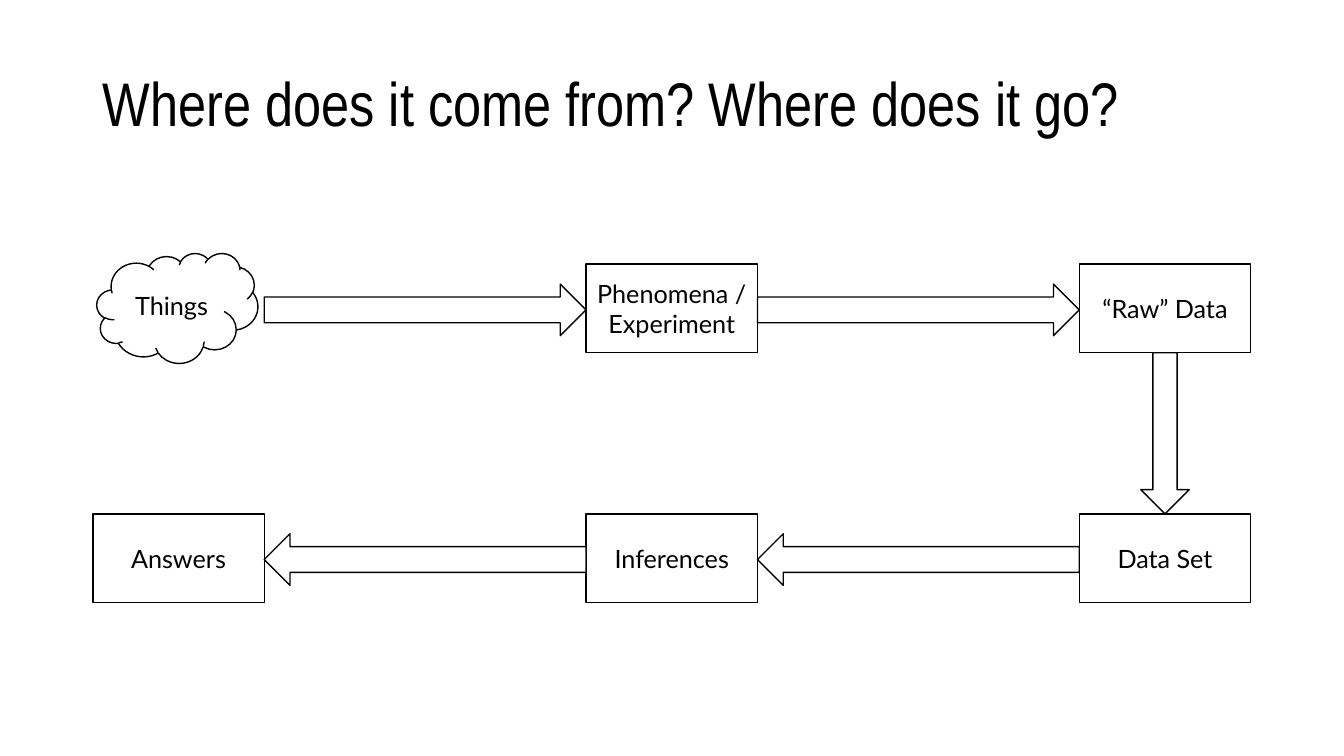
from pptx import Presentation
from pptx.dml.color import RGBColor
from pptx.enum.shapes import MSO_SHAPE
from pptx.enum.text import MSO_ANCHOR, PP_ALIGN
from pptx.util import Cm, Pt

BLACK = RGBColor(0, 0, 0)
WHITE = RGBColor(255, 255, 255)
RECT, CLOUD = MSO_SHAPE.RECTANGLE, MSO_SHAPE.CLOUD
RIGHT, LEFT, DOWN = MSO_SHAPE.RIGHT_ARROW, MSO_SHAPE.LEFT_ARROW, MSO_SHAPE.DOWN_ARROW
MIDDLE, CENTER = MSO_ANCHOR.MIDDLE, PP_ALIGN.CENTER

BOX_W, BOX_H = 4.32, 2.24
COL_STEP = 12.43
COLS = [2.34 + i * COL_STEP for i in range(3)]
TOP_ROW, BOTTOM_ROW = 6.65, 12.95
ARROW_H = 1.3
DOWN_W = 1.22


class FlowSlide:
    title_font, body_font = "Arial Narrow", "Lato"

    def __init__(self, prs):
        self.slide = prs.slides.add_slide(prs.slide_layouts[6])

    def set_text(self, sp, text, font, size):
        tf = sp.text_frame
        tf.word_wrap = True
        tf.vertical_anchor = MIDDLE
        p = tf.paragraphs[0]
        p.text = text
        r = p.runs[0]
        r.font.name = font
        r.font.size = Pt(size)
        r.font.color.rgb = BLACK
        return p

    def title(self, text, x, y, w, h):
        sp = self.slide.shapes.add_textbox(Cm(x), Cm(y), Cm(w), Cm(h))
        p = self.set_text(sp, text, self.title_font, 44)
        p.line_spacing = 0.9

    def shape(self, kind, x, y, w, h):
        sp = self.slide.shapes.add_shape(kind, Cm(x), Cm(y), Cm(w), Cm(h))
        sp.shadow.inherit = False
        sp.fill.solid()
        sp.fill.fore_color.rgb = WHITE
        sp.line.color.rgb = BLACK
        sp.line.width = Pt(1)
        return sp

    def node(self, text, x, y, w=BOX_W, h=BOX_H, kind=RECT):
        p = self.set_text(self.shape(kind, x, y, w, h), text, self.body_font, 18)
        p.alignment = CENTER


def main():
    prs = Presentation()
    prs.slide_width, prs.slide_height = Cm(33.87), Cm(19.05)
    s = FlowSlide(prs)
    s.title("Where does it come from? Where does it go?", 2.34, 0.84, 29.21, 3.68)

    s.node("Things", 2.44, 6.38, 4.06, 2.77, CLOUD)
    for text, x in zip(("Phenomena / Experiment", "“Raw” Data"), COLS[1:]):
        s.node(text, x, TOP_ROW)
    for text, x in zip(("Answers", "Inferences", "Data Set"), COLS):
        s.node(text, x, BOTTOM_ROW)

    for kind, y in ((RIGHT, 7.16), (LEFT, 13.45)):
        for x in COLS[:2]:
            s.shape(kind, x + BOX_W, y, COL_STEP - BOX_W, ARROW_H)
    box_bottom = TOP_ROW + BOX_H
    s.shape(DOWN, COLS[2] + (BOX_W - DOWN_W) / 2, box_bottom,
            DOWN_W, BOTTOM_ROW - box_bottom)

    prs.save("out.pptx")


if __name__ == "__main__":
    main()
